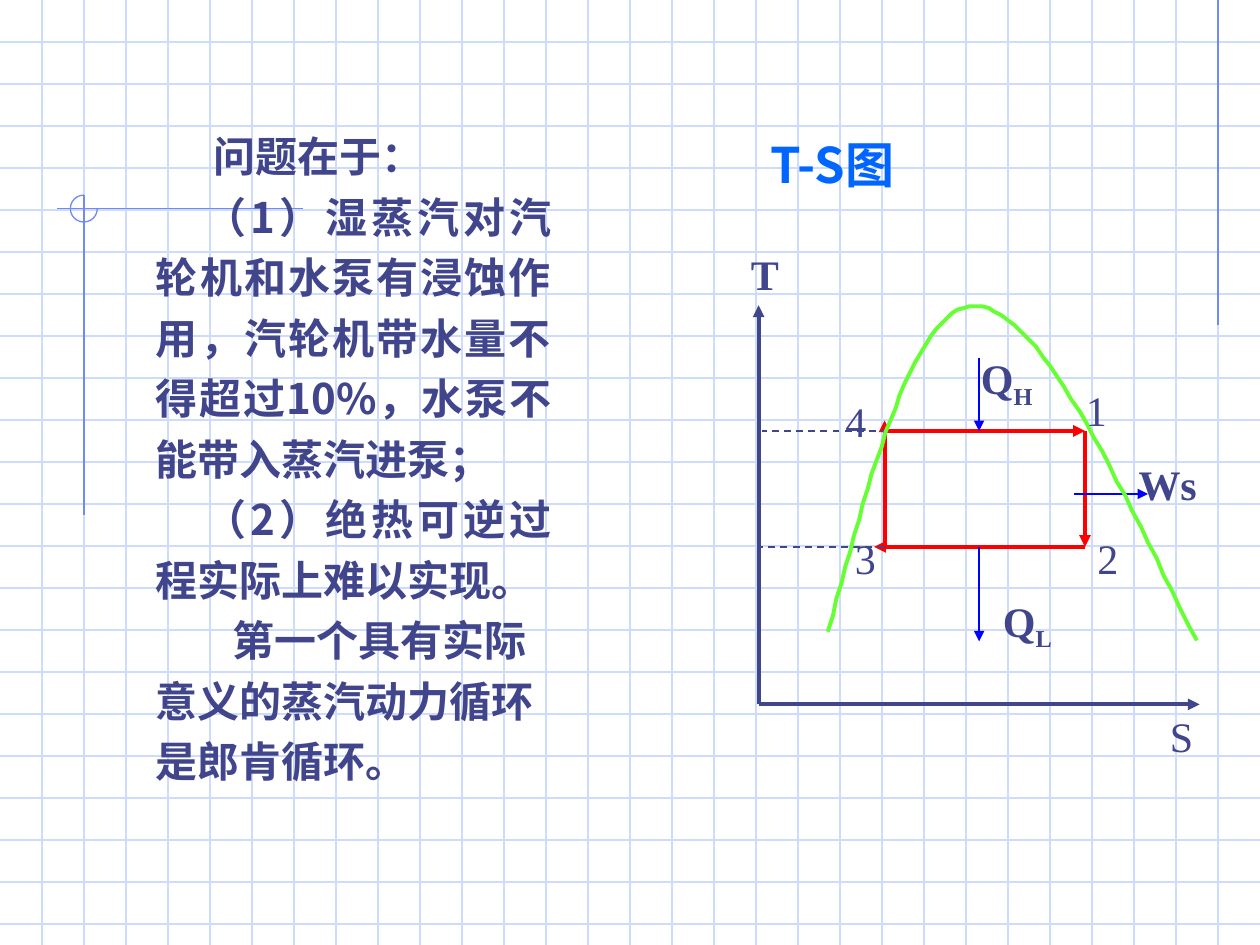
from dataclasses import dataclass

from lxml import etree
from pptx import Presentation
from pptx.dml.color import RGBColor
from pptx.enum import dml, shapes, text
from pptx.oxml import ns
from pptx.slide import Slide
from pptx.util import Pt

WIDTH, HEIGHT, GRID = 720, 540, 24
INK, GRID_BLUE, TRIM, RED, BLUE = "40458C", "CFDBFD", "6F89F7", "FF0000", "0000FF"
CJK, SERIF = "Noto Sans CJK SC", "Times New Roman"
AXIS_X, AXIS_Y = 433.5, 402.5
LEFT, RIGHT, TOP, BOTTOM = 505.5, 620, 246.25, 312.5
HEAT_X, WORK_Y = 559.5, 282.25


@dataclass
class Line:
    start: tuple[float, float]
    end: tuple[float, float]
    colour: str
    width: float = 0.75
    arrow: bool = False
    dashed: bool = False


@dataclass
class Paragraph:
    words: str
    indent: float = 0
    justified: bool = False
    subscript: str = ""


@dataclass
class TextBox:
    left: float
    top: float
    width: float
    height: float
    paragraphs: list[Paragraph]
    bold: bool = False
    font: str = SERIF
    size: float = 24
    colour: str = INK
    spacing: float = 1
    wrap: bool = True
    middle: bool = False


def colour_of(value: str) -> RGBColor:
    return RGBColor.from_string(value)


def draw_line(slide: Slide, line: Line) -> None:
    connector = slide.shapes.add_connector(
        shapes.MSO_CONNECTOR.STRAIGHT, *map(Pt, line.start + line.end))
    connector.line.color.rgb = colour_of(line.colour)
    connector.line.width = Pt(line.width)
    if line.dashed:
        connector.line.dash_style = dml.MSO_LINE.DASH
    if line.arrow:
        outline = connector.line._get_or_add_ln()
        etree.SubElement(outline, ns.qn("a:tailEnd"), type="triangle")
    etree.SubElement(connector._element.spPr, ns.qn("a:effectLst"))


def draw_text(slide: Slide, box: TextBox) -> None:
    shape = slide.shapes.add_textbox(*map(Pt, (box.left, box.top, box.width, box.height)))
    frame = shape.text_frame
    frame.word_wrap = box.wrap
    frame.vertical_anchor = text.MSO_ANCHOR.MIDDLE if box.middle else text.MSO_ANCHOR.TOP
    for index, item in enumerate(box.paragraphs):
        paragraph = frame.add_paragraph() if index else frame.paragraphs[0]
        paragraph.alignment = text.PP_ALIGN.JUSTIFY if item.justified else text.PP_ALIGN.LEFT
        paragraph.line_spacing = box.spacing
        properties = paragraph._p.get_or_add_pPr()
        properties.set("indent", str(Pt(item.indent)))
        font = paragraph.font
        font.name, font.size, font.bold = box.font, Pt(box.size), box.bold
        font.color.rgb = colour_of(box.colour)
        defaults = properties.find(ns.qn("a:defRPr"))
        etree.SubElement(defaults, ns.qn("a:ea"), typeface=box.font)
        paragraph.add_run().text = item.words
        if item.subscript:
            run = paragraph.add_run()
            run.text = item.subscript
            run.font._element.set("baseline", "-25000")


def draw_corner_arc(slide: Slide) -> None:
    arc = slide.shapes.add_shape(shapes.MSO_SHAPE.ARC, Pt(40.2), Pt(111.5), Pt(15.4), Pt(15.4))
    arc.adjustments[0], arc.adjustments[1] = 0, 162
    arc.shadow.inherit = False
    arc.fill.background()
    arc.line.color.rgb = colour_of(TRIM)
    arc.line.width = Pt(0.75)


def bezier(points: list[tuple[float, float]], t: float) -> tuple[float, float]:
    weights = ((1 - t) ** 3, 3 * t * (1 - t) ** 2, 3 * t * t * (1 - t), t ** 3)
    x, y = (sum(w * p[axis] for w, p in zip(weights, points)) for axis in (0, 1))
    return x, y


def draw_saturation_curve(slide: Slide) -> None:
    controls = [(473, 361), (498, 267.5), (523, 174), (557.5, 174.75),
                (592.5, 175.5), (638, 271), (683.5, 366.5)]
    steps = 30
    points = [bezier(controls[first:first + 4], step / steps)
              for first in (0, 3) for step in range(1, steps + 1)]
    builder = slide.shapes.build_freeform(*controls[0], scale=Pt(1))
    builder.add_line_segments(points, close=False)
    curve = builder.convert_to_shape()
    curve.shadow.inherit = False
    curve.fill.background()
    curve.line.color.rgb = colour_of("66FF33")
    curve.line.width = Pt(2.25)


def background_lines() -> list[Line]:
    rows = [Line((0, y), (WIDTH, y), GRID_BLUE) for y in range(GRID, HEIGHT, GRID)]
    columns = [Line((x, 0), (x, HEIGHT), GRID_BLUE) for x in range(GRID, WIDTH, GRID)]
    trim = [Line((696, 0), (696, 186), TRIM),
            Line((173, 119.25), (32.5, 119.25), TRIM),
            Line((48, 111.5), (48, 294.5), TRIM)]
    return rows + columns + trim


def diagram_lines() -> list[Line]:
    axes = [((AXIS_X, AXIS_Y), (685.5, AXIS_Y)), ((AXIS_X, AXIS_Y), (AXIS_X, 174.5))]
    cycle = [((LEFT, TOP), (RIGHT, TOP)), ((RIGHT, TOP), (RIGHT, BOTTOM)),
             ((RIGHT, BOTTOM), (LEFT - 6, BOTTOM)), ((LEFT, BOTTOM), (LEFT, TOP - 6))]
    guides = [((LEFT + 2, TOP), (AXIS_X + 2, TOP)), ((LEFT, BOTTOM), (AXIS_X, BOTTOM))]
    flows = [((613.5, WORK_Y), (656, WORK_Y)), ((HEAT_X, 204.5), (HEAT_X, TOP)),
             ((HEAT_X, BOTTOM), (HEAT_X, 366.5))]
    return ([Line(*ends, INK, 2.25, arrow=True) for ends in axes]
            + [Line(*ends, RED, 2.25, arrow=True) for ends in cycle]
            + [Line(*ends, INK, 1, dashed=True) for ends in guides]
            + [Line(*ends, BLUE, 1, arrow=True) for ends in flows])


TITLE = TextBox(433.5, 60.5, 180, 66, [Paragraph("T-S图")], True, CJK, 28, "0066FF", middle=True)
LABELS = [
    TextBox(553.5, 198, 78, 40, [Paragraph("Q", subscript="H")], True),
    TextBox(566, 336.5, 78, 40, [Paragraph("Q", subscript="L")], True),
    TextBox(643.5, 258.5, 54, 36, [Paragraph("Ws")], True),
    TextBox(422, 138.5, 30, 36, [Paragraph("T")], True, wrap=False),
    TextBox(661.5, 402.5, 36, 36, [Paragraph("S")]),
    TextBox(613.5, 216, 30, 36, [Paragraph("1")]),
    TextBox(620, 300.5, 30, 36, [Paragraph("2")]),
    TextBox(481.5, 300.5, 30, 36, [Paragraph("3")]),
    TextBox(476, 222.5, 30, 36, [Paragraph("4")]),
]
BODY = TextBox(82, 65.5, 240, 456.5, [
    Paragraph("问题在于：", 33, True),
    Paragraph("（1）湿蒸汽对汽轮机和水泵有浸蚀作用，汽轮机带水量不得超过10%，"
              "水泵不能带入蒸汽进泵；", 28, True),
    Paragraph("（2）绝热可逆过程实际上难以实现。", 28, True),
    Paragraph("第一个具有实际意义的蒸汽动力循环是郎肯循环。", 44),
], True, CJK, spacing=1.2)


def main() -> None:
    presentation = Presentation()
    presentation.slide_width, presentation.slide_height = Pt(WIDTH), Pt(HEIGHT)
    slide = presentation.slides.add_slide(presentation.slide_layouts[6])
    for line in background_lines():
        draw_line(slide, line)
    draw_corner_arc(slide)
    draw_text(slide, TITLE)
    for line in diagram_lines():
        draw_line(slide, line)
    draw_saturation_curve(slide)
    for box in LABELS + [BODY]:
        draw_text(slide, box)
    presentation.save("out.pptx")


if __name__ == "__main__":
    main()
